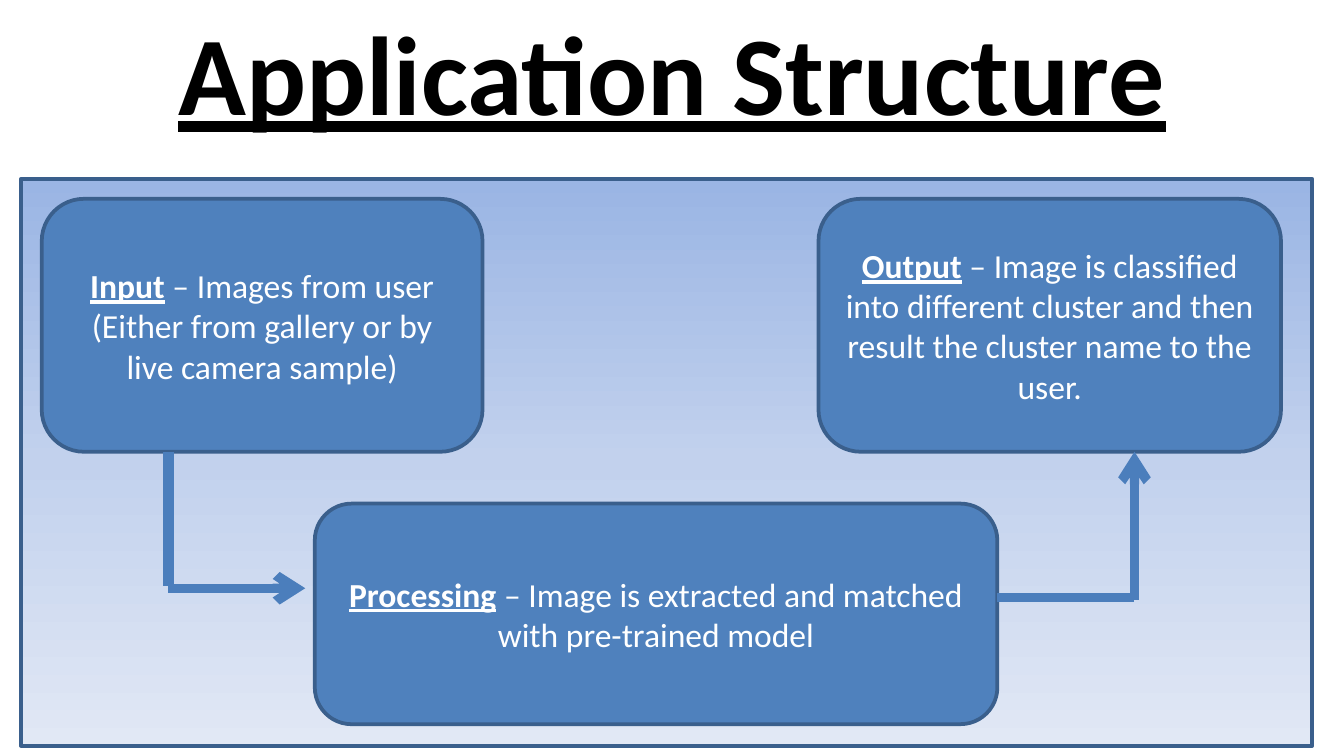
from copy import deepcopy

from pptx import Presentation
from pptx.dml.color import RGBColor
from pptx.enum.shapes import MSO_CONNECTOR as Connector, MSO_SHAPE as Shape
from pptx.enum.text import MSO_ANCHOR as Anchor, MSO_AUTO_SIZE as AutoSize, PP_ALIGN as Align
from pptx.oxml.ns import qn
from pptx.oxml.xmlchemy import OxmlElement
from pptx.util import Cm, Pt

BLACK = RGBColor(0x00, 0x00, 0x00)
WHITE = RGBColor(0xFF, 0xFF, 0xFF)
BLUE = RGBColor(0x4F, 0x81, 0xBD)
OUTLINE = RGBColor(0x3A, 0x5F, 0x8C)
ARROW = RGBColor(0x4B, 0x7E, 0xBC)
PANEL_STOPS = [
    (0, RGBColor(0x9A, 0xB5, 0xE4)),
    (0.5, RGBColor(0xC2, 0xD1, 0xED)),
    (1, RGBColor(0xE1, 0xE8, 0xF5)),
]
FONT = "Calibri"
TOP_ROW, STEP_HEIGHT = 3.76, 4.78
TOP_ROW_END = TOP_ROW + STEP_HEIGHT


def add_span(para, text, size=18, color=WHITE, heading=False):
    """Append text to a paragraph; headings are bold and underlined."""
    span = para.add_run()
    span.text = text
    font = span.font
    font.name, font.size, font.color.rgb = FONT, Pt(size), color
    font.bold = font.underline = heading


def set_title(page, text):
    """Place and format the title across the top of the page."""
    title = page.shapes.title
    title.left, title.top, title.width, title.height = Cm(0), Cm(0), Cm(25.4), Cm(2.67)
    frame = title.text_frame
    frame.auto_size = AutoSize.NONE
    frame.vertical_anchor = Anchor.MIDDLE
    para = frame.paragraphs[0]
    para.alignment = Align.CENTER
    add_span(para, text, size=60, color=BLACK, heading=True)


def add_box(page, kind, left, top, width, height):
    """Add an outlined shape without a shadow."""
    box = page.shapes.add_shape(kind, Cm(left), Cm(top), Cm(width), Cm(height))
    box.shadow.inherit = False
    box.line.color.rgb = OUTLINE
    box.line.width = Pt(2)
    return box


def add_panel(page):
    """Add the background panel with a vertical gradient."""
    fill = add_box(page, Shape.RECTANGLE, 0.4, 3.38, 24.4, 10.72).fill
    fill.gradient()
    fill.gradient_angle = 270
    stop_list = page.shapes[-1]._element.spPr.find(".//" + qn("a:gsLst"))
    stop_list.append(deepcopy(stop_list[-1]))
    for stop, (position, color) in zip(fill.gradient_stops, PANEL_STOPS):
        stop.position = position
        stop.color.rgb = color


def add_step(page, heading, detail, left, top, width, height):
    """Add a rounded step box with a heading and its detail."""
    box = add_box(page, Shape.ROUNDED_RECTANGLE, left, top, width, height)
    box.fill.solid()
    box.fill.fore_color.rgb = BLUE
    frame = box.text_frame
    frame.word_wrap = True
    frame.vertical_anchor = Anchor.MIDDLE
    para = frame.paragraphs[0]
    para.alignment = Align.CENTER
    add_span(para, heading, heading=True)
    add_span(para, " – " + detail)


def add_line(page, start, end, width=5, arrow=False):
    """Draw a straight line, with an arrowhead at its end if wanted."""
    points = [Cm(value) for value in (*start, *end)]
    line = page.shapes.add_connector(Connector.STRAIGHT, *points)
    line.line.color.rgb = ARROW
    line.line.width = Pt(width)
    if arrow:
        head = OxmlElement("a:tailEnd")
        head.set("type", "arrow")
        line.line._get_or_add_ln().append(head)
    line._element.spPr.append(OxmlElement("a:effectLst"))


def main():
    """Build the slide and save the deck."""
    deck = Presentation()
    deck.slide_width, deck.slide_height = Cm(25.4), Cm(14.29)
    page = deck.slides.add_slide(deck.slide_layouts[5])
    set_title(page, "Application Structure")
    add_panel(page)
    add_step(page, "Input", "Images from user (Either from gallery or by live camera sample)",
             0.79, TOP_ROW, 8.33, STEP_HEIGHT)
    add_step(page, "Processing", "Image is extracted and matched with pre-trained model",
             5.95, 9.52, 12.9, 4.17)
    add_step(page, "Output", "Image is classified into different cluster and then "
             "result the cluster name to the user.", 15.47, TOP_ROW, 8.74, STEP_HEIGHT)
    add_line(page, (3.18, TOP_ROW_END), (3.18, 11.07), width=6)
    add_line(page, (3.18, 11.12), (5.77, 11.12), arrow=True)
    add_line(page, (18.85, 11.3), (21.44, 11.3))
    add_line(page, (21.44, 11.35), (21.44, TOP_ROW_END), arrow=True)
    deck.save("out.pptx")


main()
